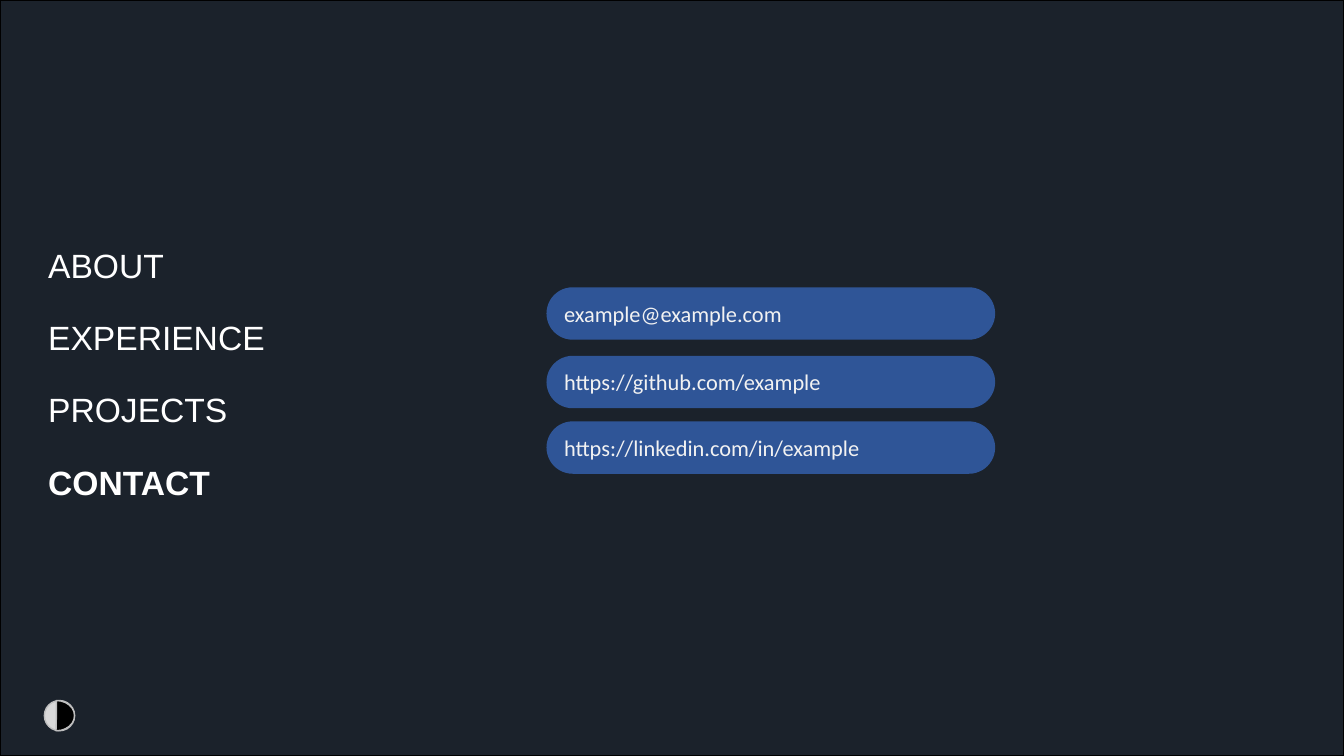
from pptx import Presentation
from pptx.dml.color import RGBColor
from pptx.enum.shapes import MSO_SHAPE as Shape
from pptx.enum.text import MSO_ANCHOR as Anchor, MSO_AUTO_SIZE as AutoSize, PP_ALIGN as Align
from pptx.util import Inches, Pt

NIGHT = RGBColor(0x1B, 0x22, 0x2B)
BLACK = RGBColor(0, 0, 0)
WHITE = RGBColor(0xFF, 0xFF, 0xFF)
BLUE = RGBColor(0x2F, 0x55, 0x97)
PALE = RGBColor(0xF2, 0xF2, 0xF2)
LIGHT_GRAY = RGBColor(0xD9, 0xD9, 0xD9)
RIM_GRAY = RGBColor(0xBF, 0xBF, 0xBF)

MENU = ["ABOUT", "EXPERIENCE", "PROJECTS", "CONTACT"]
CONTACTS = [
    (0, "example@example.com"),
    (0.68, "https://github.com/example"),
    (1.33, "https://linkedin.com/in/example"),
]


def add_filled(page, kind, left, top, width, height, fill, line=None):
    shape = page.shapes.add_shape(
        kind, Inches(left), Inches(top), Inches(width), Inches(height))
    shape.shadow.inherit = False
    shape.fill.solid()
    shape.fill.fore_color.rgb = fill
    if line is None:
        shape.line.fill.background()
    else:
        shape.line.color.rgb = line
        shape.line.width = Pt(1)
    return shape


def write(box, text, font_name, size, color, bold=False):
    frame = box.text_frame
    frame.word_wrap = True
    frame.auto_size = AutoSize.SHAPE_TO_FIT_TEXT
    para = frame.paragraphs[0]
    para.text = text
    para.alignment = Align.LEFT
    font = para.font
    font.name, font.size, font.bold = font_name, Pt(size), bold
    font.color.rgb = color


def add_menu(page, left, top, width, height, current):
    """Spread the menu entries evenly over the box, the current one in bold."""
    row_height = 0.5
    pitch = (height - row_height) / (len(MENU) - 1)
    for row, label in enumerate(MENU):
        box = page.shapes.add_textbox(
            Inches(left), Inches(top + row * pitch), Inches(width), Inches(row_height))
        write(box, label, "Arial", 24, WHITE, bold=label == current)


def add_contacts(page, left, top, width):
    for offset, address in CONTACTS:
        pill = add_filled(
            page, Shape.ROUNDED_RECTANGLE, left, top + offset, width, 0.52, BLUE)
        pill.adjustments[0] = 0.5
        write(pill, address, "Calibri", 16, PALE)
        pill.text_frame.vertical_anchor = Anchor.MIDDLE


def add_contrast_switch(page, left, top, size):
    """Light disc whose right half is dark."""
    add_filled(page, Shape.OVAL, left, top, size, size, LIGHT_GRAY, RIM_GRAY)
    overhang = 0.06
    half = add_filled(
        page, Shape.PIE, left - overhang, top, size + overhang, size, BLACK, RIM_GRAY)
    # Angles in units of 100000/60000 degree: from the top clockwise to the bottom
    half.adjustments[0] = 270 * 0.6
    half.adjustments[1] = 91.3 * 0.6


def add_contact_page(deck):
    page = deck.slides.add_slide(deck.slide_layouts[6])
    add_filled(page, Shape.RECTANGLE, 0, 0, 13.33, 7.5, NIGHT, BLACK)
    add_menu(page, 0.38, 2.38, 2.4, 2.65, current="CONTACT")
    add_contacts(page, 5.42, 2.85, 4.45)
    add_contrast_switch(page, 0.44, 6.95, 0.3)


def main():
    deck = Presentation()
    deck.slide_width, deck.slide_height = Inches(13.33), Inches(7.5)
    add_contact_page(deck)
    deck.save("out.pptx")


if __name__ == "__main__":
    main()
